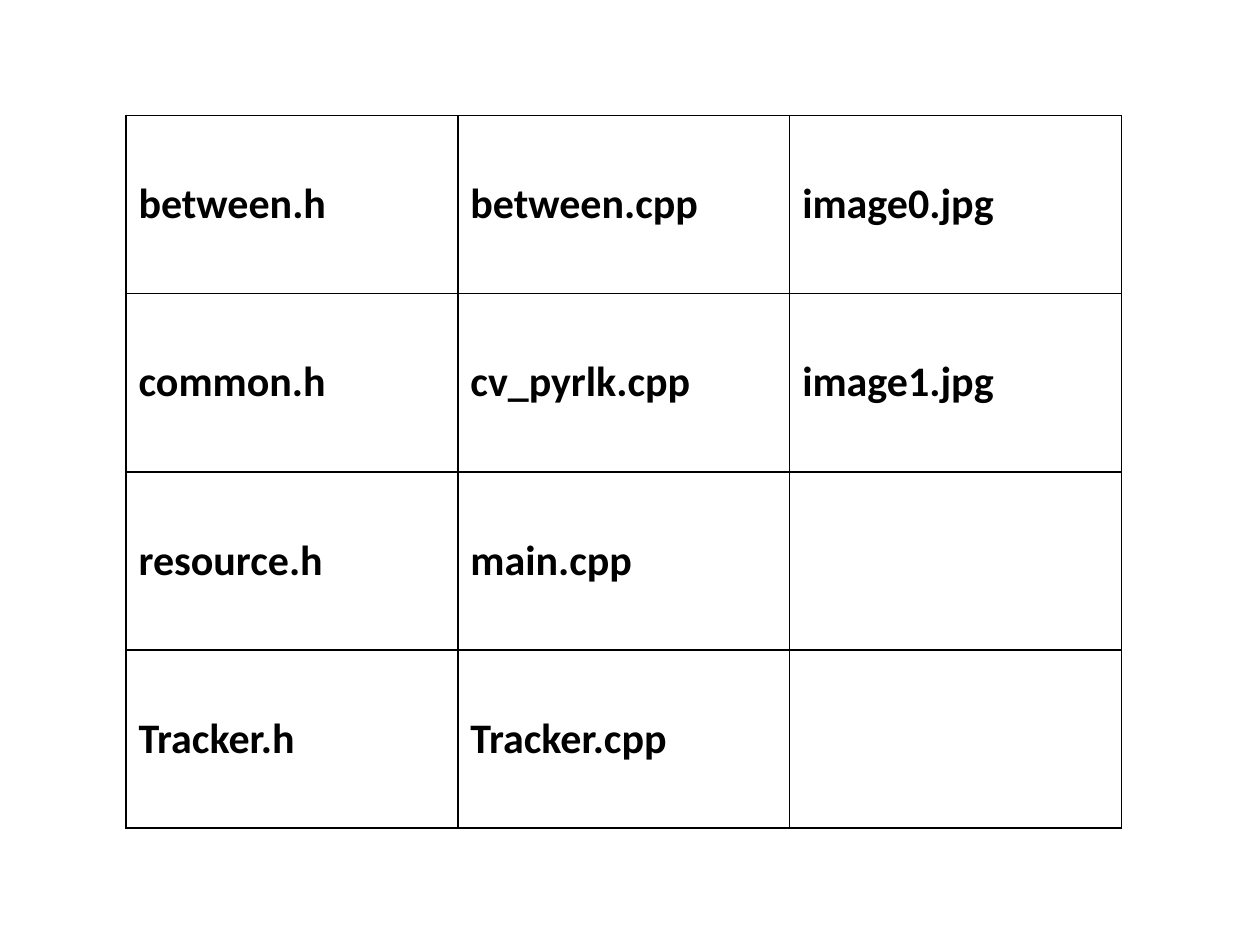
"""Build a slide with a table of project files."""
from dataclasses import dataclass

from lxml.etree import SubElement
from pptx import Presentation
from pptx.dml.color import RGBColor
from pptx.enum.text import MSO_ANCHOR
from pptx.oxml.ns import qn
from pptx.util import Cm, Pt

FILES = [
    ("between.h", "between.cpp", "image0.jpg"),
    ("common.h", "cv_pyrlk.cpp", "image1.jpg"),
    ("resource.h", "main.cpp", ""),
    ("Tracker.h", "Tracker.cpp", ""),
]
LEFT, TOP = Cm(2.54), Cm(2.33)
WIDE, HIGH = Cm(6.69), Cm(3.59)


@dataclass(frozen=True)
class Theme:
    font: str = "Calibri"
    size: int = 24
    ink: str = "000000"
    line: int = 1


THEME = Theme()


def add_border(cell):
    props = cell._tc.get_or_add_tcPr()
    for pos, side in enumerate(("lnL", "lnR", "lnT", "lnB")):
        line = SubElement(props, qn(f"a:{side}"), w=str(Pt(THEME.line)))
        fill = SubElement(line, qn("a:solidFill"))
        SubElement(fill, qn("a:srgbClr"), val=THEME.ink)
        props.insert(pos, line)


def fill_cell(cell, text):
    cell.fill.background()
    cell.vertical_anchor = MSO_ANCHOR.MIDDLE
    add_border(cell)
    cell.text_frame.text = text
    for run in cell.text_frame.paragraphs[0].runs:
        font = run.font
        font.name, font.size, font.bold = THEME.font, Pt(THEME.size), True
        font.color.rgb = RGBColor.from_string(THEME.ink)


def main():
    deck = Presentation()
    deck.slide_width, deck.slide_height = Cm(25.4), Cm(19.05)
    slide = deck.slides.add_slide(deck.slide_layouts[6])
    rows, cols = len(FILES), len(FILES[0])
    frame = slide.shapes.add_table(
        rows, cols, LEFT, TOP, WIDE * cols, HIGH * rows
    )
    table = frame.table
    table.first_row = table.horz_banding = False
    for row, names in enumerate(FILES):
        for col, name in enumerate(names):
            fill_cell(table.cell(row, col), name)
    deck.save("out.pptx")


if __name__ == "__main__":
    main()
